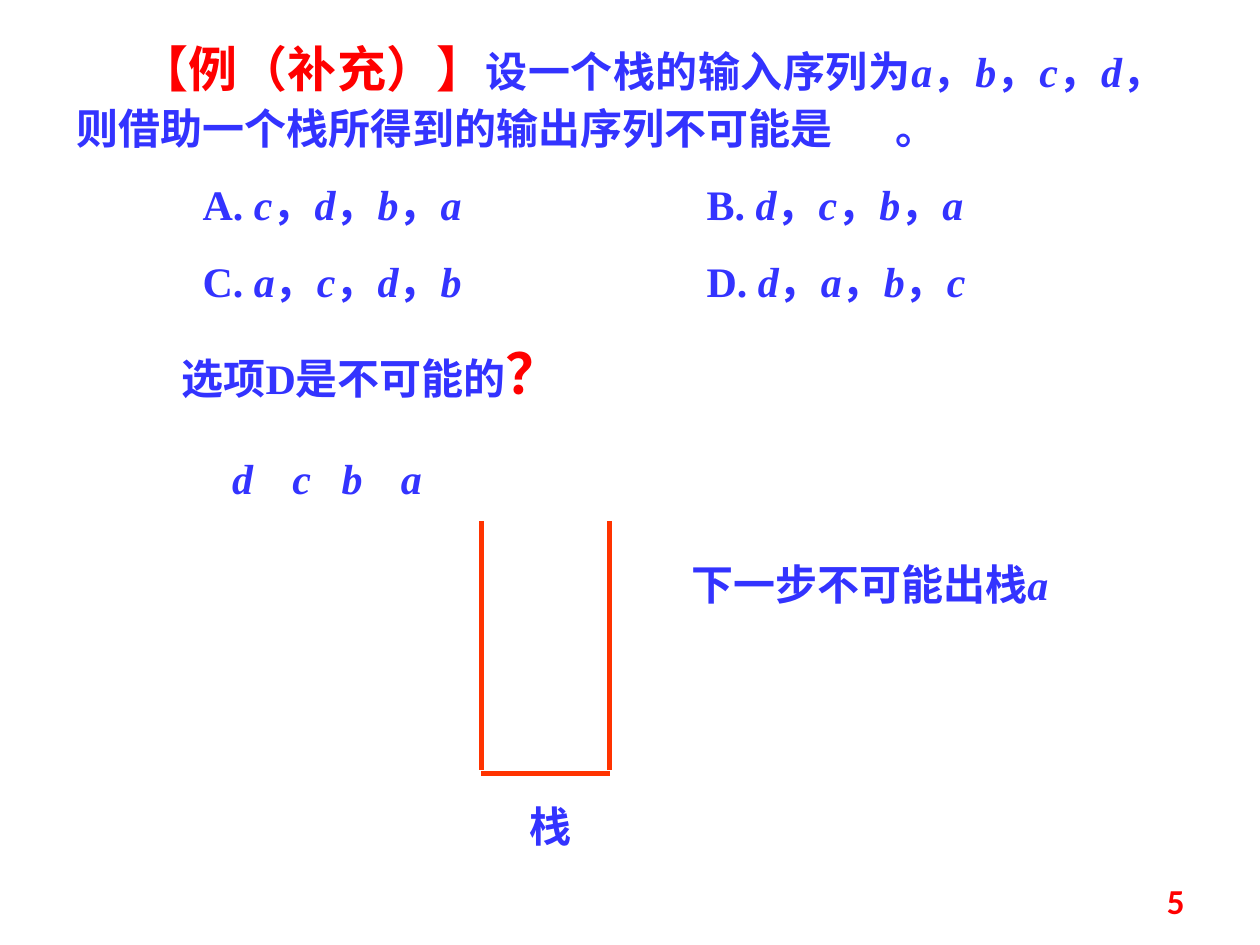
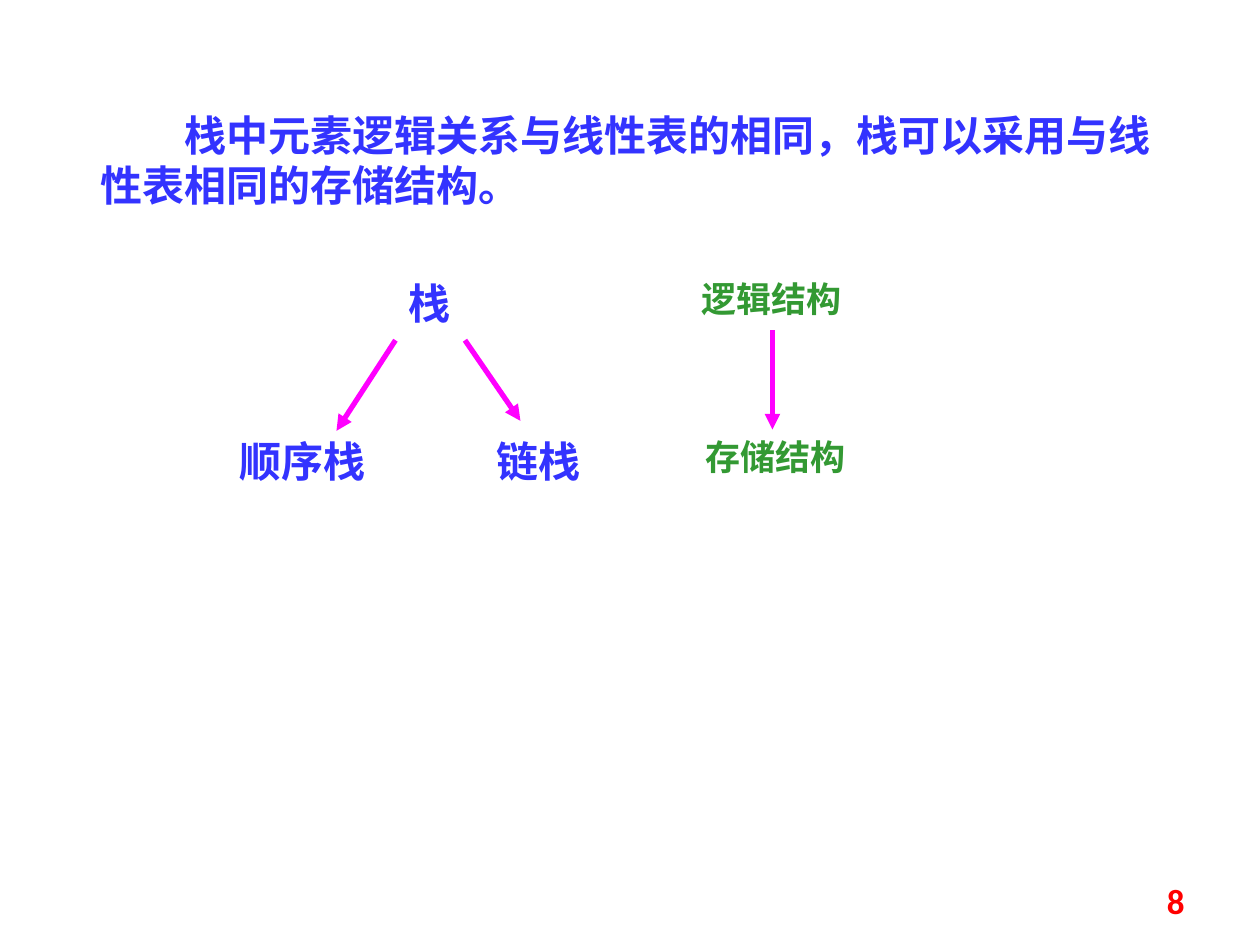
import pptx
import pptx.util
import pptx.dml.color
import pptx.enum.lang
import pptx.enum.shapes
import pptx.enum.text
import pptx.oxml
import pptx.oxml.ns

Pt = pptx.util.Pt
ALIGN = pptx.enum.text.PP_ALIGN
COLORS = {"body": "3333FF", "accent": "FF0000", "stack": "FF3300",
          "arrow": "FF00FF", "structure": "339933"}
BODY = {"name": "Times New Roman", "size": Pt(24), "bold": True, "italic": False,
        "language_id": pptx.enum.lang.MSO_LANGUAGE_ID.SIMPLIFIED_CHINESE}
NAMESPACE = pptx.oxml.ns.nsdecls("a")


def add_text(slide, box, paragraphs, align=ALIGN.LEFT, margins=(7.2, 3.6), color="body",
             spacing=None, indent=0, tabs=(), grow=True, **style):
    frame = slide.shapes.add_textbox(*map(Pt, box)).text_frame
    frame.word_wrap = True
    side, edge = map(Pt, margins)
    layout = {"margin_left": side, "margin_right": side, "margin_top": edge, "margin_bottom": edge}
    if grow:
        layout["auto_size"] = pptx.enum.text.MSO_AUTO_SIZE.SHAPE_TO_FIT_TEXT
    else:
        layout["vertical_anchor"] = pptx.enum.text.MSO_ANCHOR.MIDDLE
    for key, value in layout.items():
        setattr(frame, key, value)
    for number, pieces in enumerate(paragraphs):
        paragraph = frame.add_paragraph() if number else frame.paragraphs[0]
        paragraph.alignment = align
        paragraph.line_spacing = spacing
        if number:
            paragraph.space_before = Pt(12)
        properties = paragraph._p.get_or_add_pPr()
        if indent and not number:
            properties.set("indent", str(Pt(indent)))
        if tabs:
            stops = "".join(f'<a:tab pos="{Pt(stop)}" algn="l"/>' for stop in tabs[number])
            properties.append(pptx.oxml.parse_xml(f"<a:tabLst {NAMESPACE}>{stops}</a:tabLst>"))
        for text, changes in pieces:
            for part, words in enumerate(text.split("*")):
                if not words:
                    continue
                run = paragraph.add_run()
                run.text = words
                values = {**BODY, "italic": part % 2 == 1, **style, **changes}
                hue = values.pop("color", color)
                for key, value in values.items():
                    setattr(run.font, key, value)
                run.font.color.rgb = pptx.dml.color.RGBColor.from_string(COLORS[hue])


def add_line(slide, ends, color, arrow=False):
    line = slide.shapes.add_connector(pptx.enum.shapes.MSO_CONNECTOR.STRAIGHT, *map(Pt, ends))
    line.line.width = Pt(3)
    line.line.color.rgb = pptx.dml.color.RGBColor.from_string(COLORS[color])
    if arrow:
        line.line._get_or_add_ln().append(
            pptx.oxml.parse_xml(f'<a:tailEnd {NAMESPACE} type="triangle"/>'))
    line._element.spPr.append(pptx.oxml.parse_xml(f"<a:effectLst {NAMESPACE}/>"))


deck = pptx.Presentation()
deck.slide_width, deck.slide_height = Pt(720), Pt(540)
example, storage = [deck.slides.add_slide(deck.slide_layouts[6]) for _ in range(2)]

question = [
    ("【例（补充）】", {"size": Pt(28), "color": "accent"}),
    ("设一个栈的输入序列为*a*，*b*，*c*，*d*，则借助一个栈所得到的输出序列不可能是", {}),
    ("\t", {"underline": True}),
    ("。", {}),
]
choices = [
    "\tA. *c*，*d*，*b*，*a*\tB. *d*，*c*，*b*，*a*",
    "\tC. *a*，*c*，*d*，*b*\tD. *d*，*a*，*b*，*c*",
]
add_text(example, (36.7, 15.1, 635.8, 170), [question] + [[(choice, {})] for choice in choices],
         align=ALIGN.JUSTIFY, spacing=1.1, indent=36, tabs=[[517], [72, 360], [72, 360]])

stack_left, stack_right, stack_top, stack_bottom = 275, 348.5, 298, 442
for wall in (stack_left, stack_right):
    add_line(example, (wall, stack_top, wall, stack_bottom - 2), "stack")
add_line(example, (stack_left, stack_bottom, stack_right, stack_bottom), "stack")

for element, left in zip("abcd", (218.2, 184.3, 155.5, 121.7)):
    add_text(example, (left, 258.5, 33.8, 28.8), [[(element, {})]],
             align=ALIGN.CENTER, margins=(0, 0), italic=True)
add_text(example, (76.3, 190.1, 272.2, 46.1),
         [[("选项D是不可能的", {}), ("？", {"size": Pt(32), "color": "accent"})]],
         align=ALIGN.CENTER)
add_text(example, (297.4, 457.2, 33.8, 28.8), [[("栈", {})]], align=ALIGN.CENTER, margins=(0, 0))
add_text(example, (388.1, 315.4, 249.8, 36), [[("下一步不可能出栈*a*", {})]])

add_text(storage, (50.4, 59, 635.8, 65.5),
         [[("栈中元素逻辑关系与线性表的相同，栈可以采用与线性表相同的存储结构。", {})]], indent=48)
upper_row, lower_row = 154.8, 245.5
add_text(storage, (214.6, upper_row, 61.2, 36), [[("栈", {})]], align=ALIGN.CENTER)
for kind, left, width in (("顺序栈", 129.6, 118.8), ("链栈", 276.5, 85)):
    add_text(storage, (left, lower_row, width, 36), [[(kind, {})]])
for structure, left, top, width in (("逻辑结构", 393.8, upper_row, 106.6),
                                    ("存储结构", 396, lower_row, 113)):
    add_text(storage, (left, top, width, 31), [[(structure, {})]],
             color="structure", size=Pt(20))
for ends in ((226, 194.4, 192.3, 246.2), (265.7, 194.4, 297.4, 240.5),
             (441.4, 188.6, 441.4, 245.5)):
    add_line(storage, ends, "arrow", arrow=True)

for slide, page in ((example, "5"), (storage, "8")):
    add_text(slide, (516.2, 500.4, 167.8, 28.8), [[(page, {})]], align=ALIGN.RIGHT,
             color="accent", grow=False, name="Calibri", size=Pt(20))

deck.save("out.pptx")
